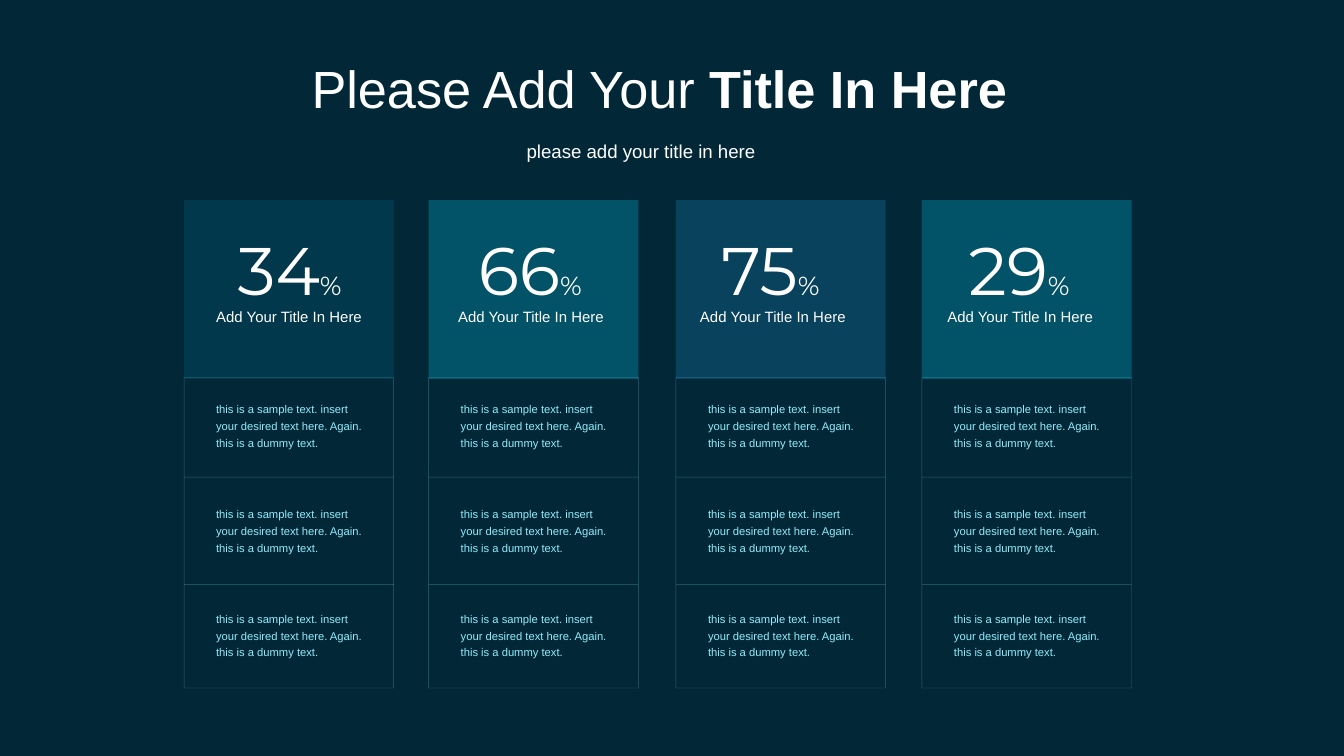
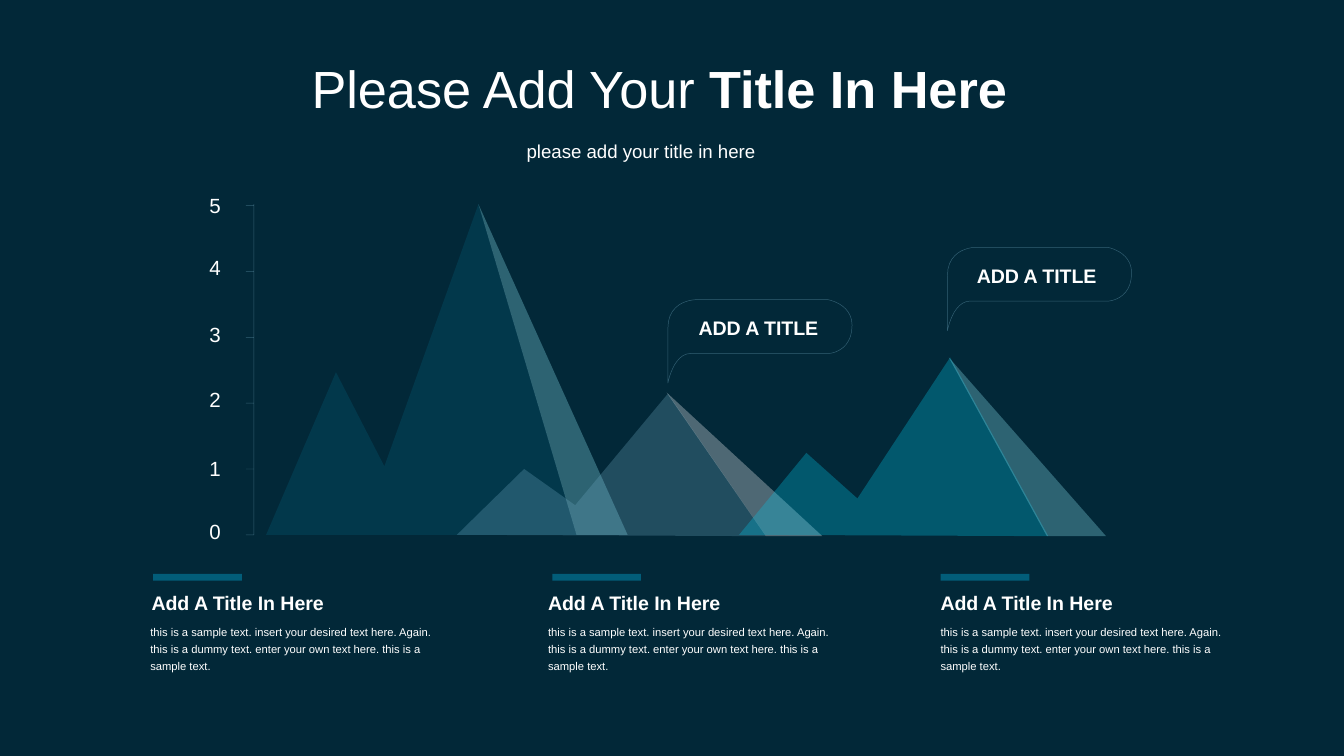
from lxml import etree
from pptx import Presentation
from pptx.dml.color import RGBColor
from pptx.enum.shapes import MSO_CONNECTOR, MSO_SHAPE
from pptx.enum.text import MSO_AUTO_SIZE
from pptx.oxml.ns import qn
from pptx.util import Inches, Pt

RECT = MSO_SHAPE.RECTANGLE
STRAIGHT = MSO_CONNECTOR.STRAIGHT
FIT_SHAPE = MSO_AUTO_SIZE.SHAPE_TO_FIT_TEXT

NAVY = RGBColor(0x02, 0x28, 0x38)
WHITE = RGBColor(0xFF, 0xFF, 0xFF)
DEEP_TEAL = RGBColor(0x02, 0x5D, 0x79)
TEAL = RGBColor(0x02, 0xB4, 0xDA)
BLUE = RGBColor(0x18, 0x81, 0xB0)
BRIGHT_TEAL = RGBColor(0x02, 0xC7, 0xEA)
GREY_BLUE = RGBColor(0x6A, 0xA3, 0xBC)
ICE = RGBColor(0x91, 0xEC, 0xFB)
PALE_BLUE = RGBColor(0xA4, 0xE2, 0xFE)


def paint(shape, fill=None, line=None, opacity=30):
    """Give a shape or connector its fill, hairline and opacity, without shadow."""
    if fill is not None:
        shape.fill.solid()
        shape.fill.fore_color.rgb = fill
    elif hasattr(shape, "fill"):
        shape.fill.background()
    if line is not None:
        shape.line.color.rgb = line
        shape.line.width = Pt(0.25)
    else:
        shape.line.fill.background()
    spPr = shape.element.spPr
    if opacity < 100:
        for color in spPr.iter(qn("a:srgbClr")):
            etree.SubElement(color, qn("a:alpha")).set("val", str(opacity * 1000))
    etree.SubElement(spPr, qn("a:effectLst"))


def add_text(s, box, runs, color=WHITE, font="Arial", wrap=False, spacing=None):
    """Add a one-paragraph text box; each run is (text, size, bold)."""
    tf = s.shapes.add_textbox(*map(Inches, box)).text_frame
    tf.word_wrap = wrap
    tf.auto_size = FIT_SHAPE
    p = tf.paragraphs[0]
    if spacing:
        p.line_spacing = Pt(spacing)
    for text, size, bold in runs:
        r = p.add_run()
        r.text = text
        r.font.name = font
        r.font.size = Pt(size)
        r.font.bold = bold
        r.font.color.rgb = color


prs = Presentation()
prs.slide_width = Inches(10)
prs.slide_height = prs.slide_width * 9 // 16

# Shared background and titles
slides = []
for _ in range(2):
    s = prs.slides.add_slide(prs.slide_layouts[6])
    s.background.fill.solid()
    s.background.fill.fore_color.rgb = NAVY
    add_text(s, (2.22, 0.37, 5.44, 0.57),
             [("Please Add Your ", 28, False), ("Title In Here", 28, True)])
    add_text(s, (3.82, 0.99, 1.91, 0.27), [("please add your title in here", 10, False)])
    slides.append(s)
cards_slide, peaks_slide = slides

# Slide 1: percentage cards (left, value, colour, value left, label left)
SAMPLE = "this is a sample text. insert your desired text here. Again. this is a dummy text."
CARD_W = 1.56
cards = [
    (1.37, "34", DEEP_TEAL, 1.67, 1.51),
    (3.19, "66", TEAL, 3.46, 3.31),
    (5.03, "75", BLUE, 5.27, 5.11),
    (6.86, "29", TEAL, 7.11, 6.95),
]
s = cards_slide
for left, value, color, value_left, label_left in cards:
    body = s.shapes.add_shape(RECT, Inches(left), Inches(2.81), Inches(CARD_W), Inches(2.31))
    paint(body, line=ICE)
    for y in (3.55, 4.35):
        divider = s.shapes.add_connector(
            STRAIGHT, Inches(left), Inches(y), Inches(left + CARD_W), Inches(y))
        paint(divider, line=ICE)
    for row in range(3):
        add_text(s, (left + 0.14, 2.92 + 0.78 * row, 1.34, 0.48),
                 [(SAMPLE, 6, False)], color=ICE, wrap=True, spacing=9)

    header = s.shapes.add_shape(RECT, Inches(left), Inches(1.49), Inches(CARD_W), Inches(1.33))
    paint(header, fill=color)
    add_text(s, (value_left, 1.65, 1.07, 0.71),
             [(value, 36, False), ("%", 14, False)], font="Montserrat")
    add_text(s, (label_left, 2.24, 1.32, 0.24), [("Add Your Title In Here", 8, False)])

# Slide 2: mountains, each followed by its lit side
s = peaks_slide
mountains = [
    (DEEP_TEAL, [(1.98, 3.98), (2.5, 2.77), (2.86, 3.47), (3.56, 1.52), (4.29, 3.98)]),
    (ICE, [(3.56, 1.52), (4.67, 3.98), (4.29, 3.98)]),
    (GREY_BLUE, [(3.4, 3.98), (3.9, 3.49), (4.28, 3.76), (4.97, 2.93), (5.7, 3.99)]),
    (WHITE, [(4.96, 2.92), (5.7, 3.99), (6.12, 3.99)]),
    (BRIGHT_TEAL, [(5.5, 3.98), (6, 3.37), (6.38, 3.71), (7.07, 2.66), (7.8, 3.99)]),
    (ICE, [(7.06, 2.66), (7.79, 3.99), (8.23, 3.99)]),
]
outlines = [(points, color, None) for color, points in mountains]

# Callout: cubic curves from a start point, relative to its top left corner
CALLOUT_START = (1.19, 0)
CALLOUT_CURVES = [
    ((0.21, 0), (0.21, 0), (0.21, 0)),
    ((0.21, 0), (0, 0), (0, 0.21)),
    ((0, 0.42), (0, 0.62), (0, 0.62)),
    ((0, 0.62), (0.04, 0.4), (0.17, 0.4)),
    ((0.29, 0.4), (1.2, 0.4), (1.2, 0.4)),
    ((1.2, 0.4), (1.37, 0.39), (1.37, 0.19)),
    ((1.37, 0.03), (1.19, 0), (1.19, 0)),
]
STEPS = 12
for left, top in ((7.05, 1.84), (4.97, 2.23)):
    a = CALLOUT_START
    points = [(left + a[0], top + a[1])]
    for b, c, d in CALLOUT_CURVES:
        for i in range(1, STEPS + 1):
            t = i / STEPS
            u = 1 - t
            x, y = (u**3 * a[k] + 3 * u * u * t * b[k] + 3 * u * t * t * c[k] + t**3 * d[k]
                    for k in (0, 1))
            points.append((left + x, top + y))
        a = d
    outlines.append((points, None, PALE_BLUE))

for points, fill, line in outlines:
    points = [(Inches(x), Inches(y)) for x, y in points]
    builder = s.shapes.build_freeform(*points[0])
    builder.add_line_segments(points[1:], close=True)
    paint(builder.convert_to_shape(), fill=fill, line=line)

for left, top in ((7.17, 1.92), (5.1, 2.31)):
    add_text(s, (left, top, 1.22, 0.27), [("ADD A TITLE", 10.5, True)], wrap=True, spacing=12)

# Scale: one axis, a tick and a number for each value
AXIS_X = 1.89
axis_lines = [(AXIS_X, 1.52, AXIS_X, 3.98)]
for value, label_top in enumerate((3.81, 3.34, 2.83, 2.35, 1.85, 1.39)):
    y = 3.98 - 0.49 * value
    axis_lines.append((AXIS_X, y, AXIS_X - 0.06, y))
    add_text(s, (1.46, label_top, 0.29, 0.29), [(str(value), 11, False)])
for ends in axis_lines:
    paint(s.shapes.add_connector(STRAIGHT, *map(Inches, ends)), line=PALE_BLUE)

# Captions (bar left, title left, text left)
CAPTION = ("this is a sample text. insert your desired text here. Again. "
           "this is a dummy text. enter your own text here. this is a sample text.")
for bar_left, title_left, text_left in ((1.14, 1.03, 1.02), (4.11, 3.98, 3.98), (7, 6.9, 6.9)):
    bar = s.shapes.add_shape(RECT, Inches(bar_left), Inches(4.27), Inches(0.66), Inches(0.05))
    paint(bar, fill=DEEP_TEAL, opacity=100)
    add_text(s, (title_left, 4.36, 1.87, 0.27),
             [("Add A Title In Here", 10.5, True)], wrap=True, spacing=12)
    add_text(s, (text_left, 4.58, 2.43, 0.47), [(CAPTION, 6, False)], wrap=True, spacing=9)

prs.save("out.pptx")
